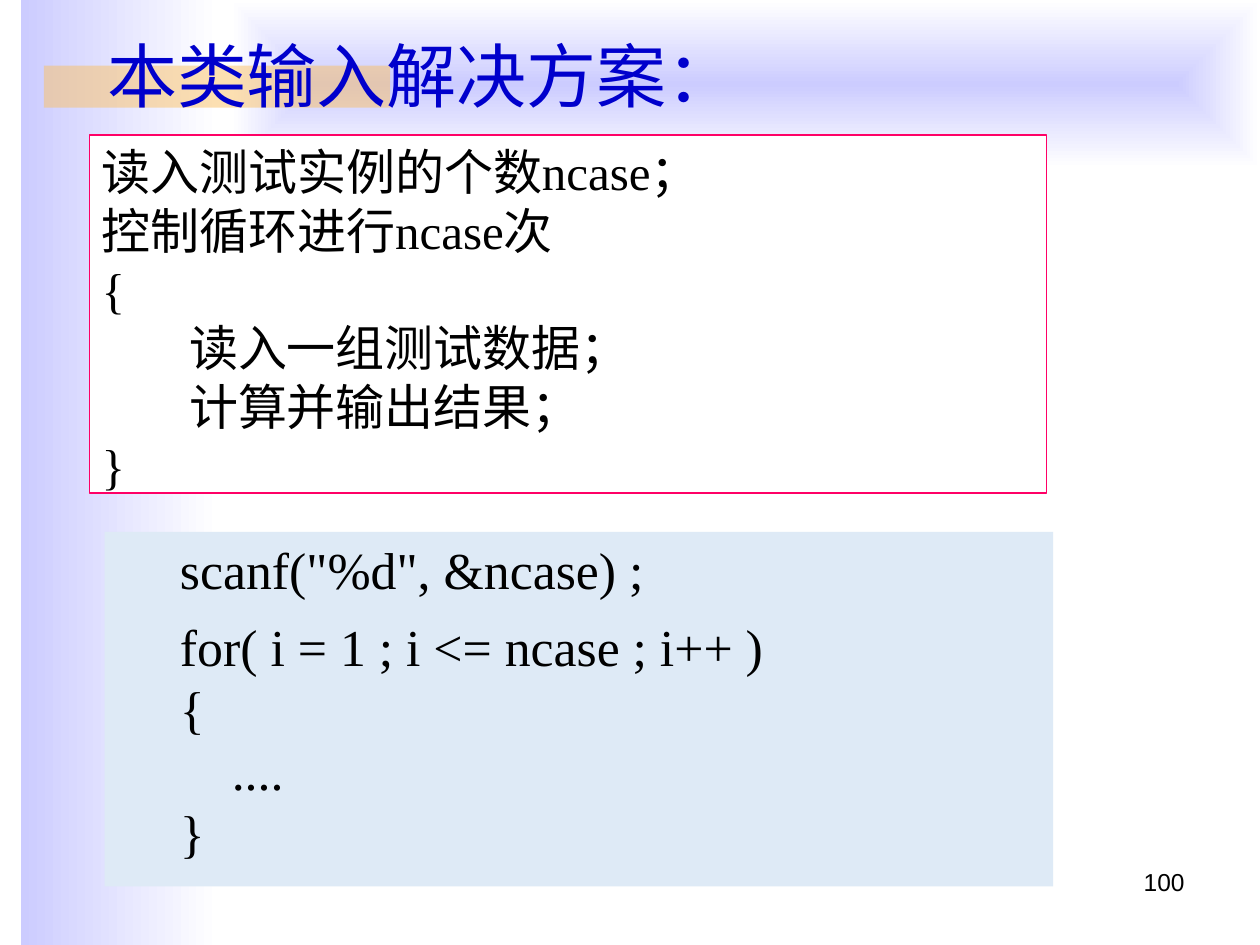
from lxml import etree
from pptx import Presentation
from pptx.dml.color import RGBColor
from pptx.enum.shapes import MSO_SHAPE as Shape
from pptx.enum.text import MSO_ANCHOR as Anchor, MSO_AUTO_SIZE as AutoSize, PP_ALIGN as Align
from pptx.oxml.ns import qn
from pptx.util import Pt

COLORS = {
    "lavender": "CCCCFF",
    "white": "FFFFFF",
    "amber": "FAC164",
    "title": "0000CC",
    "text": "000000",
    "code": "DEEAF6",
    "frame": "FF0066",
}
SERIF = "Times New Roman"
STEPS = [
    ("读入测试实例的个数ncase；", 0),
    ("控制循环进行ncase次", 0),
    ("{", 0),
    ("读入一组测试数据；", 50),
    ("计算并输出结果；", 50),
    ("}", 0),
]
CODE = [
    ('scanf("%d", &ncase) ;', 36),
    ("for( i = 1 ; i <= ncase ; i++ ) \v{ \v\u00a0 \u00a0 .... \v}", 36),
]


def color(name):
    return RGBColor.from_string(COLORS[name])


def add_panel(slide, box, fill=None, line=None):
    panel = slide.shapes.add_shape(Shape.RECTANGLE, *map(Pt, box))
    panel.shadow.inherit = False
    if fill:
        panel.fill.solid()
        panel.fill.fore_color.rgb = color(fill)
    if line:
        panel.line.color.rgb = color(line)
        panel.line.width = Pt(0.75)
    else:
        panel.line.fill.background()
    return panel


def add_gradient_panel(slide, box, from_center=False):
    """Fade lavender to white, from the left edge or from the center."""
    fill = add_panel(slide, box).fill
    fill.gradient()
    fill.gradient_angle = 0
    for stop, name, position in zip(fill.gradient_stops, ("lavender", "white"), (0, 1)):
        stop.color.rgb = color(name)
        stop.position = position
    if from_center:
        linear = fill._xPr.find(".//" + qn("a:lin"))
        gradient = linear.getparent()
        gradient.remove(linear)
        path = etree.SubElement(gradient, qn("a:path"), {"path": "rect"})
        etree.SubElement(path, qn("a:fillToRect"), dict.fromkeys("ltrb", "50000"))


def add_accent(slide):
    """Half-transparent bar behind the title."""
    accent = add_panel(slide, (25, 37.5, 198, 24), "amber")
    solid = accent.fill._xPr.find(".//" + qn("a:srgbClr"))
    etree.SubElement(solid, qn("a:alpha"), {"val": "50000"})


def style(paragraph, size, name=SERIF, tone="text", align=Align.LEFT):
    paragraph.alignment = align
    paragraph.font.size = Pt(size)
    paragraph.font.name = name
    paragraph.font.color.rgb = color(tone)


def write_lines(panel, lines, size, gap=0):
    frame = panel.text_frame
    frame.word_wrap = True
    frame.vertical_anchor = Anchor.TOP
    for number, (text, indent) in enumerate(lines):
        paragraph = frame.add_paragraph() if number else frame.paragraphs[0]
        paragraph.text = text
        paragraph._p.get_or_add_pPr().set("marL", str(Pt(indent)))
        if number and gap:
            paragraph.space_before = Pt(gap)
        style(paragraph, size)


def set_title(slide, text):
    title = slide.shapes.title
    title.left, title.top, title.width, title.height = map(Pt, (54, 9.5, 495, 66))
    frame = title.text_frame
    frame.text = text
    frame.auto_size = AutoSize.NONE
    frame.vertical_anchor = Anchor.MIDDLE
    style(frame.paragraphs[0], 40, tone="title")
    slide.shapes._spTree.append(title._element)  # in front of the decoration


def add_page_number(slide, number):
    frame = slide.shapes.add_textbox(*map(Pt, (516, 492, 168, 37.5))).text_frame
    frame.word_wrap = True
    frame.text = number
    style(frame.paragraphs[0], 14, "Arial", align=Align.RIGHT)


def main():
    deck = Presentation()
    deck.slide_width, deck.slide_height = Pt(720), Pt(540)
    slide = deck.slides.add_slide(deck.slide_layouts[5])

    add_gradient_panel(slide, (12, 0, 114, 540))
    add_gradient_panel(slide, (132, 0, 588, 96), from_center=True)
    add_accent(slide)
    add_page_number(slide, "100")
    set_title(slide, "本类输入解决方案：")

    code_panel = add_panel(slide, (59.75, 304, 542, 202.5), "code")
    write_lines(code_panel, CODE, 29.6, gap=8)
    steps_panel = add_panel(slide, (51, 77.25, 547, 204.5), "white", "frame")
    write_lines(steps_panel, STEPS, 28)

    deck.save("out.pptx")


if __name__ == "__main__":
    main()
